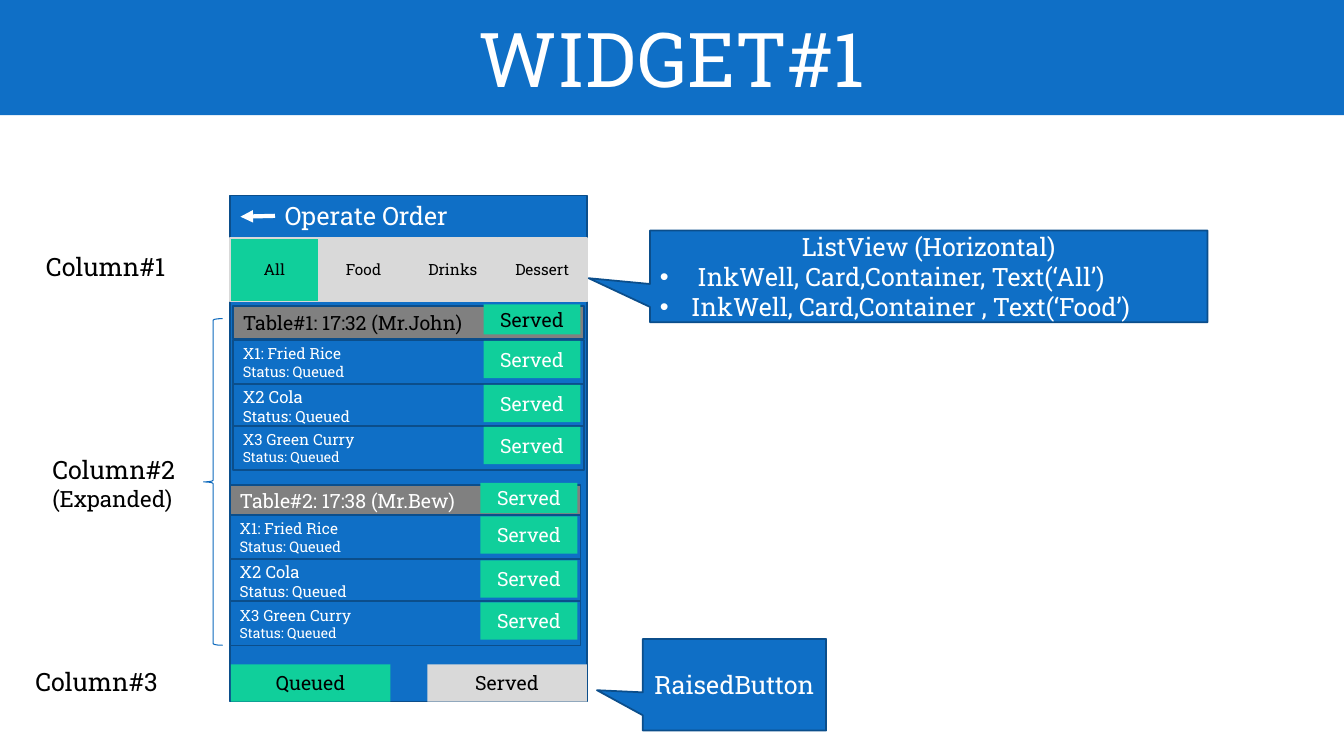
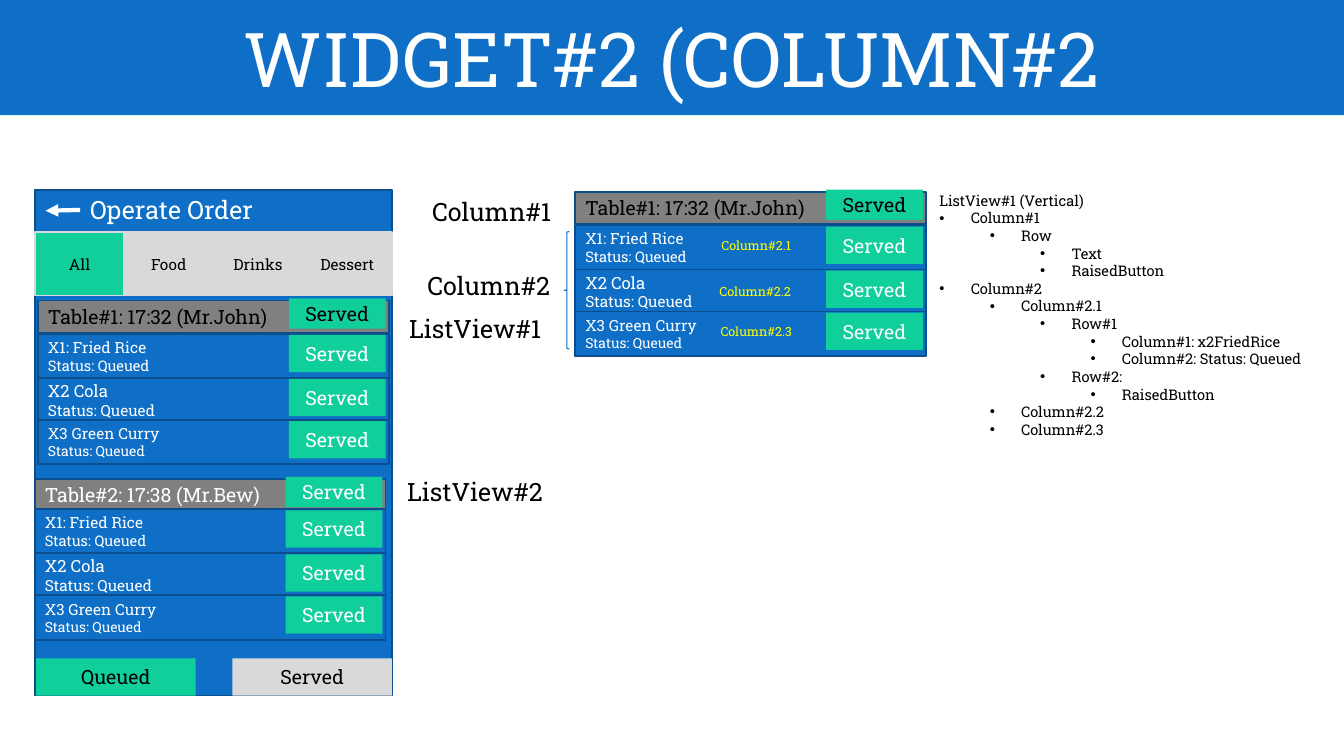
from dataclasses import dataclass
from typing import NamedTuple

from lxml.etree import SubElement
from pptx import Presentation
from pptx.dml.color import RGBColor
from pptx.enum.shapes import MSO_CONNECTOR as Connector, MSO_SHAPE as Preset
from pptx.enum.text import MSO_ANCHOR as Anchor, MSO_AUTO_SIZE as AutoSize, PP_ALIGN as Align
from pptx.oxml.ns import qn
from pptx.util import Cm, Pt

# Shared look
COLOURS = {
    "blue": "0F6FC6",
    "navy": "0B4E8B",
    "brace": "0E6ABD",
    "green": "10CF9B",
    "light": "D9D9D9",
    "gray": "808080",
    "white": "FFFFFF",
    "black": "000000",
    "yellow": "FFFF00",
}
FONT = "Roboto Slab"
PAGE_WIDTH, PAGE_HEIGHT, BAND_HEIGHT = 33.87, 19.05, 2.9
BULLET_HANG, LEVEL_STEP = 0.79, 1.27

# Phone and order card measures
PHONE_WIDTH, PHONE_HEIGHT = 9.0, 12.75
TABS = ("All", "Food", "Drinks", "Dessert")
TAB_WIDTH = PHONE_WIDTH / len(TABS)
CARD_WIDTH, HEADER_HEIGHT, ROW_HEIGHT = 8.84, 0.81, 1.12
BADGE_LEFT, BADGE_WIDTH, BADGE_HEIGHT = 6.32, 2.44, 0.94


class Box(NamedTuple):
    """A rectangle in centimetres."""
    left: float
    top: float
    width: float
    height: float

    def lengths(self) -> list:
        return [Cm(value) for value in self]


@dataclass
class Line:
    text: str
    size: float
    colour: str = "black"
    align: Align = Align.LEFT
    level: int | None = None  # bullet level; None means no bullet


@dataclass
class Dish:
    name: str
    top: float  # below the first dish
    name_size: float
    status_size: float


@dataclass
class Order:
    title: str
    colour: str
    left: float
    top: float
    first_row: float  # below the top of the header


@dataclass
class Label:
    box: Box
    lines: list[Line]


DISHES = (
    Dish("X1: Fried Rice", 0, 11, 10.5),
    Dish("X2 Cola", 1.11, 12, 11),
    Dish("X3 Green Curry", 2.17, 11, 10),
)


def rgb(name: str) -> RGBColor:
    return RGBColor.from_string(COLOURS[name])


def set_bullet(para, level: int | None) -> None:
    props = para._p.get_or_add_pPr()
    if level is None:
        props.set("marL", "0")
        props.set("indent", "0")
        SubElement(props, qn("a:buNone"))
        return
    para.level = level
    props.set("marL", str(Cm(BULLET_HANG + level * LEVEL_STEP)))
    props.set("indent", str(-Cm(BULLET_HANG)))
    SubElement(props, qn("a:buFont")).set("typeface", "Arial")
    SubElement(props, qn("a:buChar")).set("char", "•")


def write(frame, lines: list[Line], anchor: Anchor = Anchor.MIDDLE) -> None:
    frame_format = {"word_wrap": True, "auto_size": AutoSize.NONE, "vertical_anchor": anchor}
    for key, value in frame_format.items():
        setattr(frame, key, value)
    for index, line in enumerate(lines):
        para = frame.add_paragraph() if index else frame.paragraphs[0]
        para.alignment = line.align
        para.space_before = Pt(0)
        set_bullet(para, line.level)
        span = para.add_run()
        span.text = line.text
        for key, value in {"name": FONT, "size": Pt(line.size)}.items():
            setattr(span.font, key, value)
        span.font.color.rgb = rgb(line.colour)


def move(shape, box: Box) -> None:
    for key, value in zip(("left", "top", "width", "height"), box.lengths()):
        setattr(shape, key, value)


def add_panel(page, box: Box, fill: str | None, outline: str | None = None,
              lines: list[Line] | None = None, preset: Preset = Preset.RECTANGLE,
              weight: float = 1.25, adjust: tuple = ()):
    panel = page.shapes.add_shape(preset, *box.lengths())
    panel.shadow.inherit = False
    if fill:
        panel.fill.solid()
        panel.fill.fore_color.rgb = rgb(fill)
    else:
        panel.fill.background()
    if outline:
        panel.line.color.rgb = rgb(outline)
        panel.line.width = Pt(weight)
    else:
        panel.line.fill.background()
    for index, value in enumerate(adjust):
        panel.adjustments[index] = value
    if lines:
        write(panel.text_frame, lines)
    return panel


def add_button(page, box: Box, text: str, fill: str, colour: str = "black",
               size: float = 14, outline: str | None = None) -> None:
    add_panel(page, box, fill, outline, [Line(text, size, colour, Align.CENTER)])


def add_label(page, label: Label) -> None:
    text_box = page.shapes.add_textbox(*label.box.lengths())
    write(text_box.text_frame, label.lines, Anchor.TOP)


def add_brace(page, box: Box) -> None:
    add_panel(page, box, None, "brace", preset=Preset.LEFT_BRACE, weight=0.75)


def add_back_arrow(page, left: float, top: float) -> None:
    arrow = page.shapes.add_connector(
        Connector.STRAIGHT, Cm(left + 1.14), Cm(top + 0.51), Cm(left + 0.27), Cm(top + 0.53))
    arrow.line.color.rgb = rgb("white")
    arrow.line.width = Pt(3)
    SubElement(arrow.line._get_or_add_ln(), qn("a:tailEnd")).set("type", "triangle")
    SubElement(arrow._element.spPr, qn("a:effectLst"))


def add_order(page, order: Order) -> None:
    left, top = order.left, order.top
    row_tops = [top + order.first_row + dish.top for dish in DISHES]
    add_panel(page, Box(left, top, CARD_WIDTH, HEADER_HEIGHT), "gray", "navy",
              [Line(order.title, 14, order.colour)])
    for dish, row_top in zip(DISHES, row_tops):
        add_panel(page, Box(left, row_top, CARD_WIDTH, ROW_HEIGHT), "blue", "navy",
                  [Line(dish.name, dish.name_size, "white"),
                   Line("Status: Queued", dish.status_size, "white")])
    for row_top in row_tops:
        add_button(page, Box(left + BADGE_LEFT, row_top + 0.03, BADGE_WIDTH, BADGE_HEIGHT),
                   "Served", "green", "white")
    add_button(page, Box(left + BADGE_LEFT, top - 0.05, BADGE_WIDTH, 0.76),
               "Served", "green", order.colour)


def add_phone(page, left: float, top: float) -> None:
    add_panel(page, Box(left, top, PHONE_WIDTH, PHONE_HEIGHT), "blue", "navy")
    # Category tabs, the selected one on top
    for index, tab in reversed(list(enumerate(TABS))):
        add_button(page, Box(left + index * TAB_WIDTH, top + 1.07, TAB_WIDTH, 1.6), tab,
                   "light" if index else "green", size=11, outline="light")
    # Footer buttons
    for offset, text, fill in ((0.03, "Queued", "green"), (4.98, "Served", "light")):
        add_button(page, Box(left + offset, top + 11.81, 4.02, 0.94), text, fill)
    # App bar
    add_label(page, Label(Box(left + 1.14, top, 6.07, 1.02),
                          [Line("Operate Order", 18, "white")]))
    add_back_arrow(page, left, top)
    # Orders
    add_order(page, Order("Table#1: 17:32 (Mr.John)", "black", left + 0.08, top + 2.79, 0.84))
    add_order(page, Order("Table#2: 17:38 (Mr.Bew)", "white", left, top + 7.29, 0.76))


def add_page(deck, layout: int, title: str):
    page = deck.slides.add_slide(deck.slide_layouts[layout])
    band = page.shapes.title
    move(band, Box(0, 0, PAGE_WIDTH, BAND_HEIGHT))
    band.fill.solid()
    band.fill.fore_color.rgb = rgb("blue")
    write(band.text_frame, [Line(title, 54, "white", Align.CENTER)])
    return page


def build_overview(deck) -> None:
    page = add_page(deck, 5, "WIDGET#1")
    add_phone(page, 5.79, 4.93)
    # Callouts
    add_panel(page, Box(16.38, 5.81, 14.05, 2.31), "blue", "navy", [
        Line("ListView (Horizontal)", 18, "white", Align.CENTER),
        Line(" InkWell, Card,Container, Text(‘All’)", 18, "white", level=0),
        Line("InkWell, Card,Container , Text(‘Food’)", 18, "white", level=0),
    ], Preset.RECTANGULAR_CALLOUT, adjust=(-0.61, 0.02))
    add_panel(page, Box(16.2, 16.1, 4.62, 2.31), "blue", "navy",
              [Line("RaisedButton", 18, "white", Align.CENTER)],
              Preset.RECTANGULAR_CALLOUT, adjust=(-0.75, 0.06))
    # Column labels
    for label in (
        Label(Box(0.91, 6.22, 3.94, 1.02), [Line("Column#1", 18)]),
        Label(Box(1.07, 11.33, 3.94, 1.7), [Line("Column#2", 18), Line("(Expanded)", 16)]),
        Label(Box(0.64, 16.66, 3.94, 1.02), [Line("Column#3", 18)]),
    ):
        add_label(page, label)
    add_brace(page, Box(5.13, 8.03, 0.48, 8.23))


def build_column_detail(deck) -> None:
    page = add_page(deck, 1, "WIDGET#2 (COLUMN#2")
    # Widget tree
    tree = (
        (None, "ListView#1 (Vertical)"),
        (0, "Column#1"),
        (1, "Row"),
        (2, "Text"),
        (2, "RaisedButton"),
        (0, "Column#2"),
        (1, "Column#2.1"),
        (2, "Row#1"),
        (3, "Column#1: x2FriedRice"),
        (3, "Column#2: Status: Queued"),
        (2, "Row#2:"),
        (3, "RaisedButton"),
        (1, "Column#2.2"),
        (1, "Column#2.3"),
    )
    body = page.placeholders[1]
    move(body, Box(23.42, 4.7, 10.01, 6.99))
    write(body.text_frame, [Line(text, 10.5, level=level) for level, text in tree], Anchor.TOP)
    add_phone(page, 0.88, 4.78)
    # Enlarged order
    add_panel(page, Box(14.5, 4.88, 5.56, 4.09), "blue", "navy")
    add_order(page, Order("Table#1: 17:32 (Mr.John)", "black", 14.5, 4.83, 0.85))
    # Labels beside the phone and on the dishes
    for text, left, top, size, colour in (
        ("ListView#1", 10.06, 7.77, 18, "black"),
        ("ListView#2", 10.01, 11.89, 18, "black"),
        ("Column#1", 10.64, 4.83, 18, "black"),
        ("Column#2", 10.52, 6.68, 18, "black"),
        ("Column#2.1", 17.93, 5.87, 9, "yellow"),
        ("Column#2.2", 17.88, 7.04, 9, "yellow"),
        ("Column#2.3", 17.91, 8.03, 9, "yellow"),
    ):
        width, height = (4.01, 1.02) if size == 18 else (2.46, 0.64)
        add_label(page, Label(Box(left, top, width, height), [Line(text, size, colour)]))
    add_brace(page, Box(14.22, 5.84, 0.13, 2.95))


def main() -> None:
    deck = Presentation()
    deck.slide_width, deck.slide_height = Cm(PAGE_WIDTH), Cm(PAGE_HEIGHT)
    build_overview(deck)
    build_column_detail(deck)
    deck.save("out.pptx")


if __name__ == "__main__":
    main()
